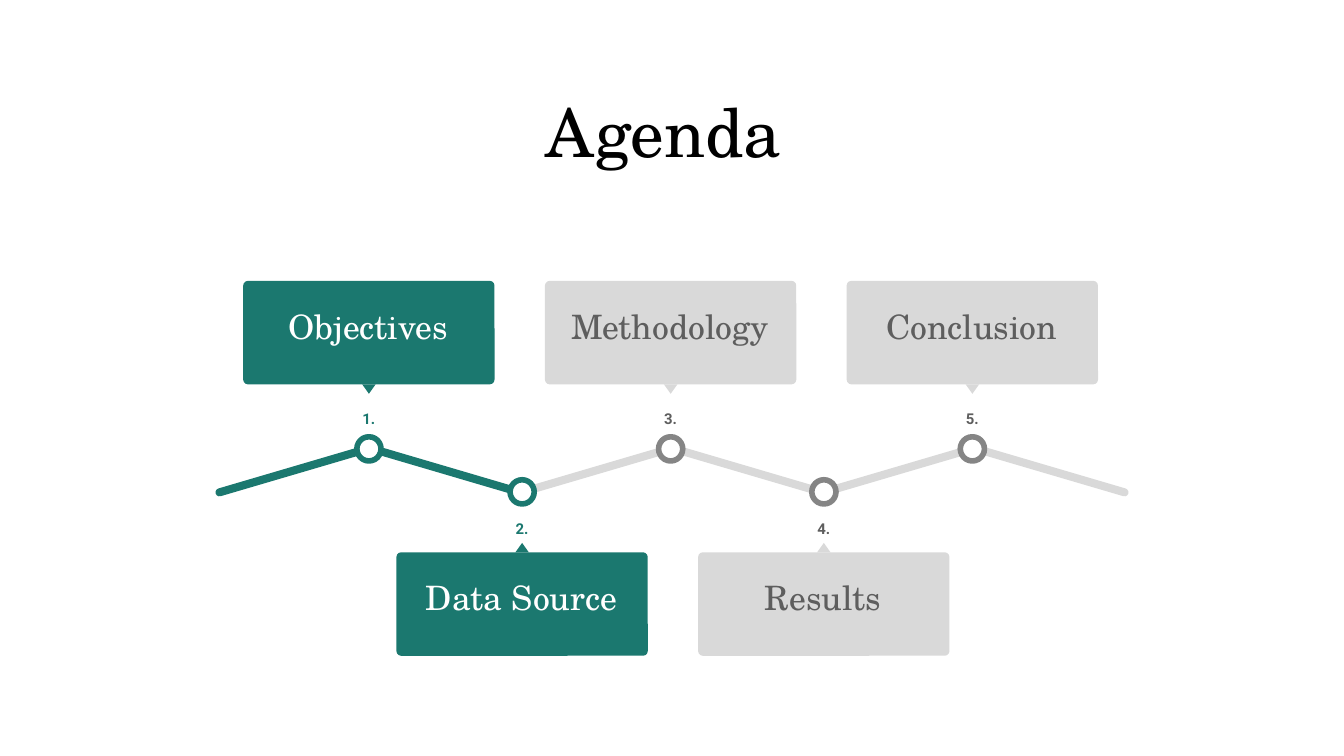
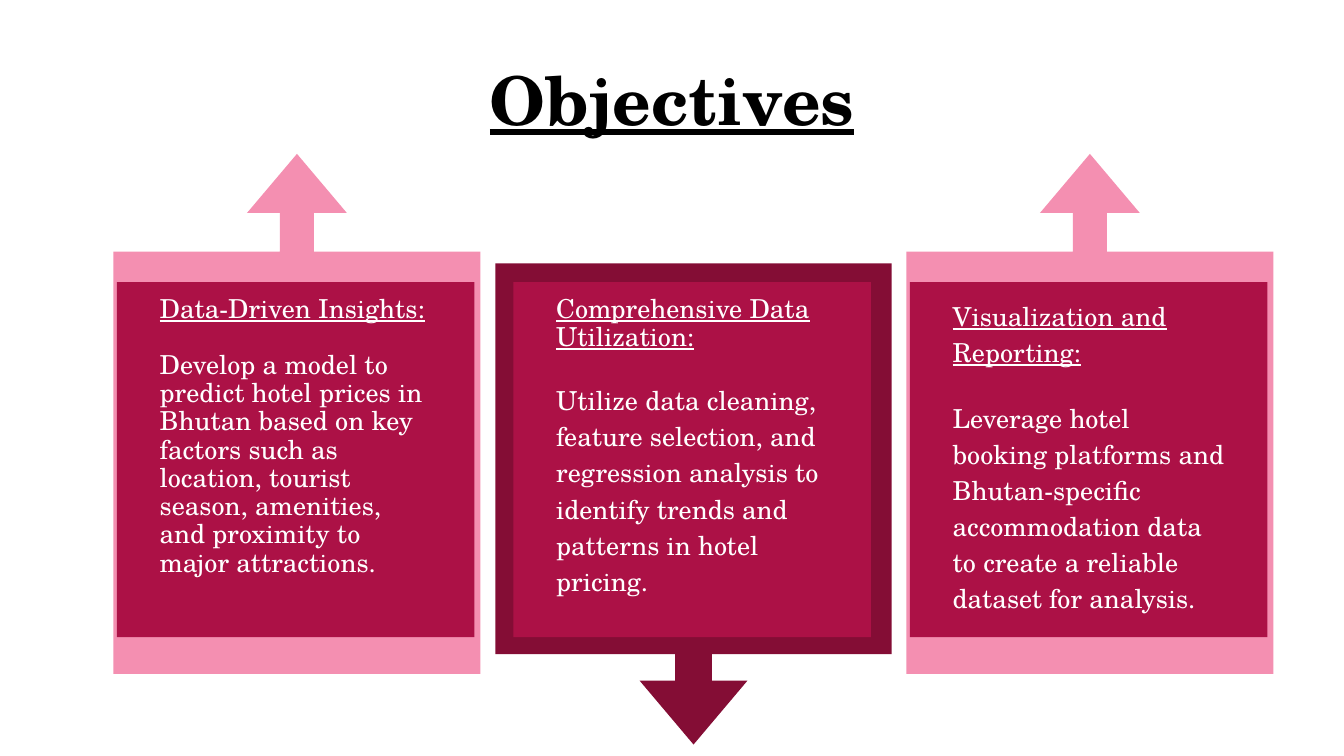
from dataclasses import dataclass

from pptx import Presentation
from pptx.dml.color import RGBColor
from pptx.enum.shapes import MSO_SHAPE as Preset
from pptx.enum.text import MSO_ANCHOR as Anchor, PP_ALIGN as Align
from pptx.util import Inches, Pt

TEAL = RGBColor(0x1B, 0x78, 0x6F)
LIGHT_GREY = RGBColor(0xD9, 0xD9, 0xD9)
MID_GREY = RGBColor(0x85, 0x85, 0x85)
DARK_GREY = RGBColor(0x5E, 0x5E, 0x5E)
PINK = RGBColor(0xF4, 0x8F, 0xB1)
CRIMSON = RGBColor(0xAC, 0x11, 0x46)
MAROON = RGBColor(0x84, 0x0D, 0x35)
WHITE = RGBColor(0xFF, 0xFF, 0xFF)
BLACK = RGBColor(0x00, 0x00, 0x00)

SERIF = "TeX Gyre Schola"
SANS = "Roboto"


@dataclass
class Box:
    left: float
    top: float
    width: float
    height: float

    def lengths(self):
        return [Inches(side) for side in (self.left, self.top, self.width, self.height)]


@dataclass
class StepColors:
    fill: RGBColor
    ring: RGBColor
    number: RGBColor
    label: RGBColor


DONE = StepColors(TEAL, TEAL, TEAL, WHITE)
PENDING = StepColors(LIGHT_GREY, MID_GREY, DARK_GREY, DARK_GREY)

STEPS = [
    ("Objectives", DONE),
    ("Data Source", DONE),
    ("Methodology", PENDING),
    ("Results", PENDING),
    ("Conclusion", PENDING),
]


@dataclass
class Card:
    heading: str
    body: str
    heading_spacing: float
    body_spacing: float
    gap: float
    points_up: bool


CARDS = [
    Card("Data-Driven Insights:",
         "Develop a model to predict hotel prices in Bhutan based on key factors such as "
         "location, tourist season, amenities, and proximity to major attractions.",
         0.9, 0.9, 15, True),
    Card("Comprehensive Data Utilization:",
         "Utilize data cleaning, feature selection, and regression analysis to identify "
         "trends and patterns in hotel pricing.",
         0.9, 1.15, 15, False),
    Card("Visualization and Reporting:",
         "Leverage hotel booking platforms and Bhutan-specific accommodation data to "
         "create a reliable dataset for analysis.",
         1.15, 1.15, 16, True),
]


def add_preset(page, preset, box, fill, adjustments=(), rotation=0):
    shape = page.shapes.add_shape(preset, *box.lengths())
    shape.shadow.inherit = False
    shape.fill.solid()
    shape.fill.fore_color.rgb = fill
    shape.line.fill.background()
    shape.rotation = rotation
    for index, value in enumerate(adjustments):
        shape.adjustments[index] = value
    return shape


def add_frame(page, box, anchor=Anchor.TOP):
    frame = page.shapes.add_textbox(*box.lengths()).text_frame
    frame.word_wrap = True
    frame.vertical_anchor = anchor
    frame.margin_left = frame.margin_right = Inches(0.1)
    frame.margin_top = frame.margin_bottom = Inches(0.1)
    return frame


def write(para, text, size, color, font=SERIF, align=Align.LEFT, spacing=None,
          bold=False, underline=False):
    para.text = text
    para.alignment = align
    if spacing:
        para.line_spacing = spacing
    span = para.runs[0]
    span.font.name = font
    span.font.size = Pt(size)
    span.font.color.rgb = color
    span.font.bold = bold
    span.font.underline = underline


def add_title(page, box, text, emphasis=False):
    frame = add_frame(page, box, Anchor.MIDDLE)
    write(frame.paragraphs[0], text, 36, BLACK, align=Align.CENTER,
          bold=emphasis, underline=emphasis)


def add_centered_label(page, box, text, size, color, font=SERIF, bold=False):
    para = add_frame(page, box).paragraphs[0]
    write(para, text, size, color, font, Align.CENTER, 1.15, bold)
    para.space_after = Pt(16)


def add_zigzag(page, box, colors):
    pitch = (box.width - 1.22) / (len(colors) - 1)
    for index, color in reversed(list(enumerate(colors))):
        segment = Box(box.left + index * pitch, box.top, 1.22, box.height)
        tilt = 16.4 if index % 2 else 343.6
        add_preset(page, Preset.ROUNDED_RECTANGLE, segment, color, [0.5], tilt)


def add_step(page, box, number, label, colors, above):
    center = box.left + box.width / 2
    if above:
        pointer_top, number_top, ring_top = 0.77, 0.86, 1.16
    else:
        pointer_top, number_top, ring_top = -0.07, -0.34, -0.54

    add_preset(page, Preset.ROUNDED_RECTANGLE, box, colors.fill, [0.045])
    add_preset(page, Preset.ISOSCELES_TRIANGLE,
               Box(center - 0.05, box.top + pointer_top, 0.1, 0.07),
               colors.fill, [0.5], 180 if above else 0)
    ring = add_preset(page, Preset.OVAL,
                      Box(center - 0.09, box.top + ring_top, 0.18, 0.18), WHITE)
    ring.line.color.rgb = colors.ring
    ring.line.width = Pt(3)
    add_centered_label(page, Box(center - 0.38, box.top + number_top, 0.76, 0.3),
                       f"{number}.", 8, colors.number, SANS, True)
    add_centered_label(page, Box(box.left + 0.04, box.top + 0.04, 1.78, 0.68),
                       label, 18, colors.label)


def add_card(page, box, card):
    center = box.left + box.width / 2 + 0.01
    if card.points_up:
        length, breadth, middle, fill, turn = 3.87, 2.73, 0.98, PINK, 270
    else:
        length, breadth, middle, fill, turn = 3.58, 2.95, 1.65, MAROON, 90

    callout = Box(center - length / 2, box.top + middle - breadth / 2, length, breadth)
    add_preset(page, Preset.RIGHT_ARROW_CALLOUT, callout, fill,
               [0.093, 0.136, 0.161, 0.812], turn)
    add_preset(page, Preset.SNIP_1_RECTANGLE, box, CRIMSON, [0])

    frame = add_frame(page, Box(box.left + 0.22, box.top, 2.23, box.height))
    write(frame.paragraphs[0], card.heading, 14, WHITE,
          spacing=card.heading_spacing, underline=True)
    body = frame.add_paragraph()
    write(body, card.body, 14, WHITE, spacing=card.body_spacing)
    body.space_before = Pt(card.gap)


def build_agenda(page):
    add_title(page, Box(2.24, 0.51, 5.39, 0.92), "Agenda")
    add_zigzag(page, Box(1.58, 3.47, 6.84, 0.06), [TEAL] * 2 + [LIGHT_GREY] * 4)
    pair_pitch = 4.49 / 2
    for index, (label, colors) in enumerate(STEPS):
        pair, lower = divmod(index, 2)
        left = 1.81 + pair_pitch * pair + 1.14 * lower
        box = Box(left, 4.11 if lower else 2.09, 1.87, 0.77)
        add_step(page, box, index + 1, label, colors, above=not lower)


def build_objectives(page):
    add_title(page, Box(0.34, 0.27, 9.32, 0.92), "Objectives", emphasis=True)
    for index, card in enumerate(CARDS):
        add_card(page, Box(0.87 + 2.95 * index, 2.1, 2.66, 2.64), card)


def main():
    deck = Presentation()
    deck.slide_width = Inches(10)
    deck.slide_height = deck.slide_width * 9 // 16
    for build in (build_agenda, build_objectives):
        build(deck.slides.add_slide(deck.slide_layouts[6]))
    deck.save("out.pptx")


if __name__ == "__main__":
    main()
